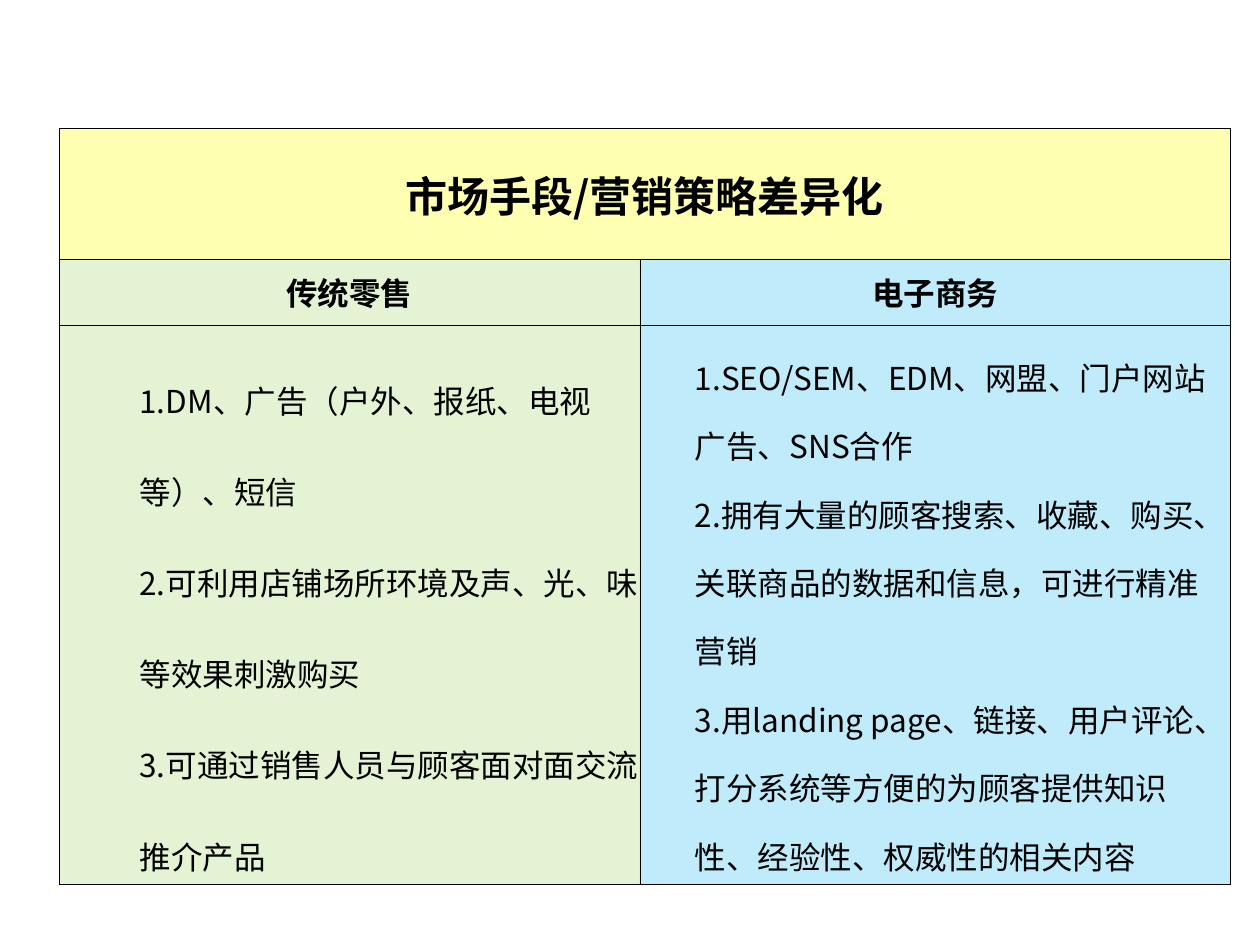
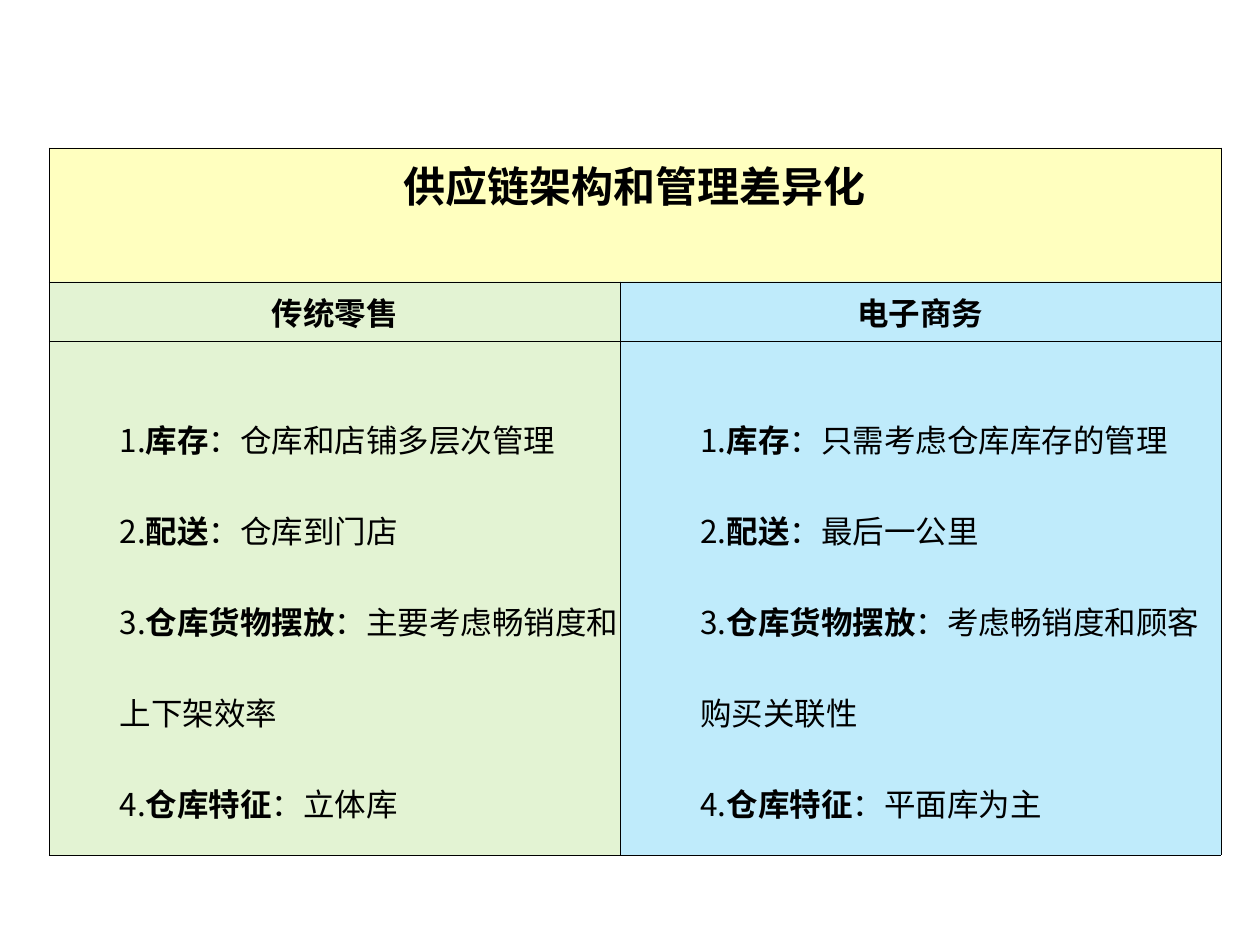
import dataclasses
import typing

import lxml.etree
import pptx
import pptx.dml.color
import pptx.enum.text
import pptx.oxml.ns
import pptx.util

Pt = pptx.util.Pt
RGB = pptx.dml.color.RGBColor
ALIGN = pptx.enum.text.PP_ALIGN
ANCHOR = pptx.enum.text.MSO_ANCHOR
qn = pptx.oxml.ns.qn


@dataclasses.dataclass(frozen=True)
class Theme:
    font: str = "Noto Sans CJK SC"
    ink: str = "000000"
    title: str = "FFFF00"
    retail: str = "92D050"
    online: str = "00B0F0"
    tint: int = 25
    big: float = 24
    body: float = 18
    rule: float = 0.23
    side: float = 0.75
    pad: float = 3.6


@dataclasses.dataclass(frozen=True)
class Side:
    """One column: its width, body indent, line spacing and points."""
    width: float
    indent: float
    space: float
    points: tuple[str, ...]


@dataclasses.dataclass(frozen=True)
class Page:
    title: str
    left: float
    top: float
    rows: tuple[float, float, float]
    retail: Side
    online: Side
    tint: int = 25
    anchor: typing.Any = ANCHOR.MIDDLE


THEME = Theme()
HEADS = ("传统零售", "电子商务")
FILLS = (THEME.retail, THEME.online)

PAGES = (
    Page(
        "市场手段/营销策略差异化", 33.8, 73.4, (74.8, 37.4, 319.5),
        Side(331.8, 45.2, 2, (
            "1.DM、广告（户外、报纸、电视等）、短信",
            "2.可利用店铺场所环境及声、光、味等效果刺激购买",
            "3.可通过销售人员与顾客面对面交流推介产品",
        )),
        Side(337.5, 30.8, 1.5, (
            "1.SEO/SEM、EDM、网盟、门户网站广告、SNS合作",
            "2.拥有大量的顾客搜索、收藏、购买、关联商品的数据和信息，可进行精准营销",
            "3.用landing page、链接、用户评论、打分系统等方便的为顾客"
            "提供知识性、经验性、权威性的相关内容",
        )),
        tint=30,
    ),
    Page(
        "供应链架构和管理差异化", 28, 84.5, (76.5, 34, 293.5),
        Side(326.3, 39.6, 2, (
            "1.*库存*：仓库和店铺多层次管理",
            "2.*配送*：仓库到门店",
            "3.*仓库货物摆放*：主要考虑畅销度和上下架效率",
            "4.*仓库特征*：立体库",
        )),
        Side(343.3, 45.2, 2, (
            "1.*库存*：只需考虑仓库库存的管理",
            "2.*配送*：最后一公里",
            "3.*仓库货物摆放*：考虑畅销度和顾客购买关联性",
            "4.*仓库特征*：平面库为主",
        )),
        anchor=ANCHOR.TOP,
    ),
)


def write(frame, *lines: str, size: float = THEME.body, bold: bool = False,
          align=ALIGN.LEFT, indent: float = 0, space: float = 1) -> None:
    """Write one paragraph per line; words between asterisks turn bold."""
    for row, line in enumerate(lines):
        para = frame.add_paragraph() if row else frame.paragraphs[0]
        para.alignment = align
        para.line_spacing = space
        props = para._p.get_or_add_pPr()
        props.set("marL", str(Pt(indent)))
        props.set("indent", "0")
        props.set("hangingPunct", "0")  # keep punctuation inside the cell
        for part, text in enumerate(line.split("*")):
            run = para.add_run()
            run.text = text
            run.font.size = Pt(size)
            run.font.bold = bold or part % 2 == 1
            run.font.color.rgb = RGB.from_string(THEME.ink)
            run.font.name = THEME.font
            east = lxml.etree.SubElement(run._r.get_or_add_rPr(), qn("a:ea"))
            east.set("typeface", THEME.font)


def style(cell, color: str, tint: int, anchor=ANCHOR.MIDDLE) -> None:
    """Give a cell its margins, thin borders and see-through fill."""
    cell.margin_left = cell.margin_right = Pt(THEME.side)
    cell.margin_top = cell.margin_bottom = Pt(THEME.pad)
    cell.vertical_anchor = anchor
    props = cell._tc.get_or_add_tcPr()
    for edge in ("a:lnL", "a:lnR", "a:lnT", "a:lnB"):
        line = lxml.etree.SubElement(props, qn(edge), w=str(Pt(THEME.rule)))
        solid = lxml.etree.SubElement(line, qn("a:solidFill"))
        lxml.etree.SubElement(solid, qn("a:srgbClr"), val=THEME.ink)
    cell.fill.solid()
    cell.fill.fore_color.rgb = RGB.from_string(color)
    paint = props.find(qn("a:solidFill")).find(qn("a:srgbClr"))
    lxml.etree.SubElement(paint, qn("a:alpha"), val=str(tint * 1000))


def draw(slide, page: Page) -> None:
    sides = (page.retail, page.online)
    width = sum(side.width for side in sides)
    table = slide.shapes.add_table(
        len(page.rows), len(sides), Pt(page.left), Pt(page.top),
        Pt(width), Pt(sum(page.rows))).table
    table.first_row = table.horz_banding = False
    for row, height in zip(table.rows, page.rows):
        row.height = Pt(height)

    for col, (side, head, fill) in enumerate(zip(sides, HEADS, FILLS)):
        table.columns[col].width = Pt(side.width)
        style(table.cell(0, col), THEME.title, page.tint, page.anchor)
        for row in (1, 2):
            style(table.cell(row, col), fill, THEME.tint)
        write(table.cell(1, col).text_frame, head, bold=True,
              align=ALIGN.CENTER)
        write(table.cell(2, col).text_frame, *side.points,
              indent=side.indent, space=side.space)

    table.cell(0, 0).merge(table.cell(0, 1))
    write(table.cell(0, 0).text_frame, page.title, size=THEME.big, bold=True,
          align=ALIGN.CENTER)


def main() -> None:
    deck = pptx.Presentation()
    deck.slide_width, deck.slide_height = Pt(720), Pt(540)
    for page in PAGES:
        draw(deck.slides.add_slide(deck.slide_layouts[6]), page)
    deck.save("out.pptx")


if __name__ == "__main__":
    main()
